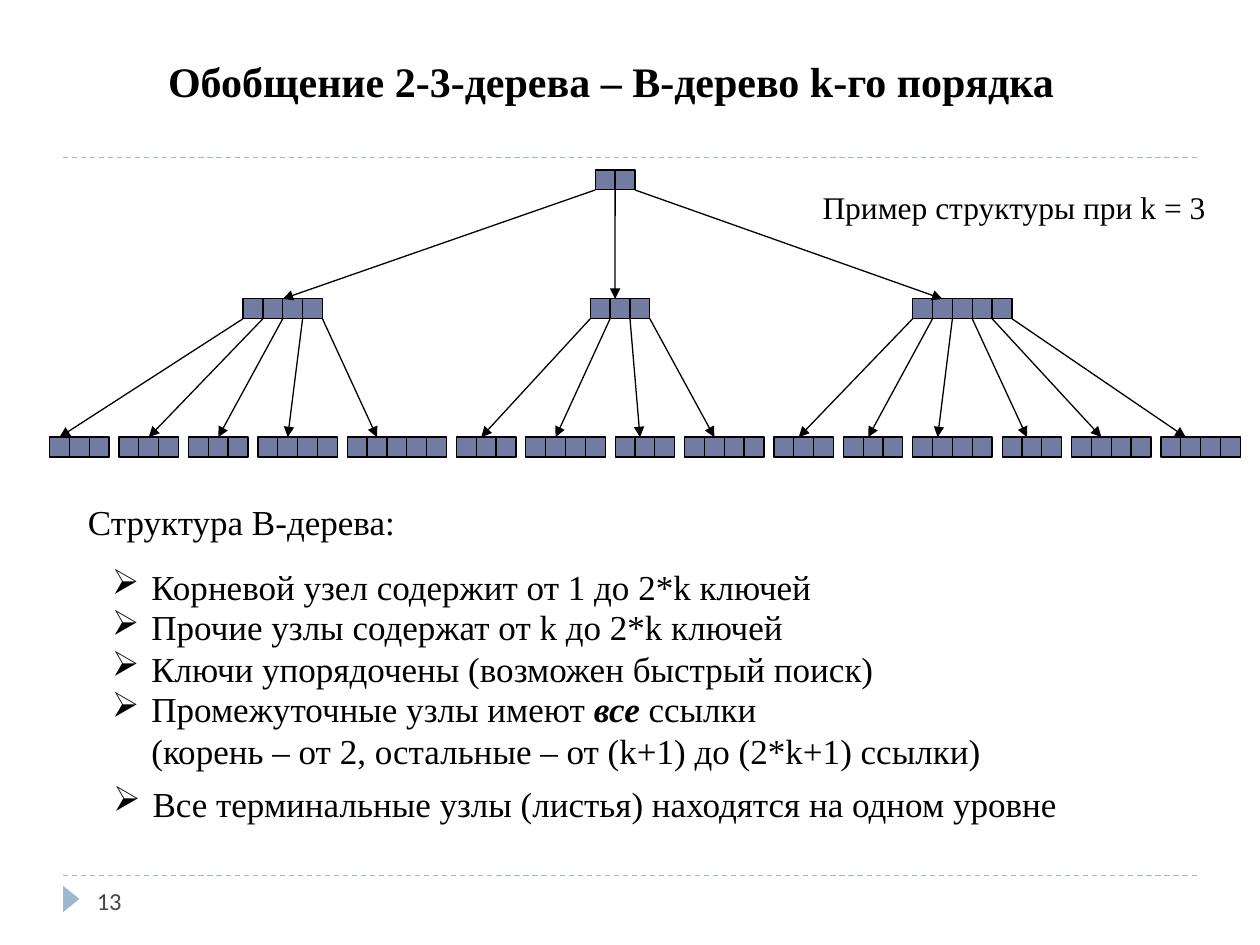
"""Build a slide that explains the structure of a B-tree of order k."""
from dataclasses import dataclass

from lxml import etree
from pptx import Presentation
from pptx.dml.color import RGBColor
from pptx.enum.dml import MSO_LINE
from pptx.enum.shapes import MSO_CONNECTOR, MSO_SHAPE
from pptx.enum.text import MSO_ANCHOR, MSO_AUTO_SIZE, PP_ALIGN
from pptx.oxml.ns import qn
from pptx.util import Pt

STRAIGHT = MSO_CONNECTOR.STRAIGHT
RECTANGLE, TRIANGLE = MSO_SHAPE.RECTANGLE, MSO_SHAPE.ISOSCELES_TRIANGLE
LEFT, CENTER = PP_ALIGN.LEFT, PP_ALIGN.CENTER
TOP, MIDDLE = MSO_ANCHOR.TOP, MSO_ANCHOR.MIDDLE
DASH = MSO_LINE.DASH


@dataclass(frozen=True)
class Theme:
    ink: RGBColor = RGBColor(0x00, 0x00, 0x00)
    key: RGBColor = RGBColor(0x72, 0x7C, 0xA3)
    accent: RGBColor = RGBColor(0x9F, 0xB8, 0xCD)
    muted: RGBColor = RGBColor(0x46, 0x46, 0x53)
    font: str = "Times New Roman"
    number_font: str = "Calibri"
    title: int = 24
    body: int = 20
    caption: int = 18
    number: int = 14
    line: float = 0.75


theme = Theme()
CELL = 11.34
GAP = CELL / 2
ROOT_TOP, BRANCH_TOP, LEAF_TOP = 97.2, 170.8, 249.8
ROOT_LEFT, LEAF_LEFT = 340.16, 28.35

presentation = Presentation()
presentation.slide_width, presentation.slide_height = Pt(720), Pt(540)
slide = presentation.slides.add_slide(presentation.slide_layouts[6])


def add_text(text, left, top, width, height, size=theme.body, font=theme.font,
             color=theme.ink, bold=False, emphasis="", align=LEFT, anchor=TOP,
             bullet=""):
    """Add a text box; the emphasis word is set in bold italic."""
    frame = slide.shapes.add_textbox(Pt(left), Pt(top), Pt(width), Pt(height)).text_frame
    frame.word_wrap = False
    frame.auto_size = MSO_AUTO_SIZE.NONE if anchor == MIDDLE else MSO_AUTO_SIZE.SHAPE_TO_FIT_TEXT
    frame.vertical_anchor = anchor
    paragraph = frame.paragraphs[0]
    paragraph.alignment = align
    if bullet:
        properties = paragraph._p.get_or_add_pPr()
        properties.set("marL", str(Pt(22.5)))
        properties.set("indent", str(Pt(-22.5)))
        etree.SubElement(properties, qn("a:buChar"), char=bullet)
    for line_index, line in enumerate(text.split("\n")):
        if line_index:
            paragraph.add_line_break()
        before, word, after = line.partition(emphasis) if emphasis else (line, "", "")
        for piece, stressed in ((before, False), (word, True), (after, False)):
            if piece:
                run = paragraph.add_run()
                run.text = piece
                run.font.name, run.font.size = font, Pt(size)
                run.font.color.rgb = color
                run.font.bold, run.font.italic = bold or stressed, stressed


def add_line(start_x, start_y, end_x, end_y, color=theme.ink, dash=None, arrow=False):
    """Add a straight line, dashed or with an arrowhead at its end."""
    connector = slide.shapes.add_connector(
        STRAIGHT, Pt(start_x), Pt(start_y), Pt(end_x), Pt(end_y))
    connector.line.color.rgb = color
    connector.line.width = Pt(theme.line)
    connector.line.dash_style = dash
    if arrow:
        etree.SubElement(connector.line._get_or_add_ln(), qn("a:tailEnd"), type="triangle")
    etree.SubElement(connector._element.spPr, qn("a:effectLst"))


for rule_y in (500.4, 90):
    add_line(36, rule_y, 684, rule_y, color=theme.accent, dash=DASH)

marker = slide.shapes.add_shape(TRIANGLE, Pt(33.12), Pt(509.04), Pt(15.12), Pt(9.36))
marker.rotation = 90
marker.shadow.inherit = False
marker.fill.solid()
marker.fill.fore_color.rgb = theme.accent
marker.line.fill.background()

add_text("13", 48.24, 500.4, 156.24, 28.8, size=theme.number,
         font=theme.number_font, color=theme.muted, anchor=MIDDLE)
add_text("Обобщение 2-3-дерева – В-дерево k-го порядка", 86.4, 28.08, 525.6, 36,
         size=theme.title, bold=True, align=CENTER)
add_text("Пример структуры при k = 3", 462.96, 103.68, 235.44, 28.8, size=theme.caption)
add_text("Структура В-дерева:", 43.2, 282.24, 191.52, 31.68)

bullets = (
    ("Корневой узел содержит от 1 до 2*k ключей", 56.9, 319.7, 417.6, 31.7),
    ("Прочие узлы содержат от k до 2*k ключей", 56.9, 342.7, 401, 31.7),
    ("Ключи упорядочены (возможен быстрый поиск)", 56.9, 366.5, 453.6, 31.7),
    ("Промежуточные узлы имеют все ссылки \n"
     "(корень – от 2, остальные – от (k+1) до (2*k+1) ссылки)", 56.9, 389.5, 514.8, 55.4),
    ("Все терминальные узлы (листья) находятся на одном уровне", 57.6, 443.5, 558.7, 31.7),
)
for text, left, top, width, height in bullets:
    emphasis = "все" if "имеют все" in text else ""
    add_text(text, left, top, width, height, emphasis=emphasis, bullet="➢")

# Each leaf: number of keys, then the cell offset where its arrow lands.
leaves = ((3, 0.5), (3, 1.5), (3, 1.5), (4, 1.5), (5, 1.5),
          (3, 1.25), (4, 1.5), (3, 1.25), (4, 1.5),
          (3, 1.25), (3, 1.25), (4, 1.25), (3, 1.25), (4, 1.5), (4, 1.25))
branches = ((138.9, 4, 2), (337.32, 3, 1.25), (521.57, 5, 1.5))

nodes = [(ROOT_LEFT, ROOT_TOP, 2)]
arrows = []
leaf_left = LEAF_LEFT
remaining_leaves = iter(leaves)
for branch_index, (branch_left, branch_keys, branch_offset) in enumerate(branches):
    nodes.append((branch_left, BRANCH_TOP, branch_keys))
    arrows.append((ROOT_LEFT + branch_index * CELL, ROOT_TOP + CELL,
                   branch_left + branch_offset * CELL, BRANCH_TOP))
    for link in range(branch_keys + 1):
        leaf_keys, leaf_offset = next(remaining_leaves)
        nodes.append((leaf_left, LEAF_TOP, leaf_keys))
        arrows.append((branch_left + link * CELL, BRANCH_TOP + CELL,
                       leaf_left + leaf_offset * CELL, LEAF_TOP))
        leaf_left += leaf_keys * CELL + GAP

for node_left, node_top, keys in nodes:
    for key_index in range(keys):
        cell = slide.shapes.add_shape(
            RECTANGLE, Pt(node_left + key_index * CELL), Pt(node_top), Pt(CELL), Pt(CELL))
        cell.shadow.inherit = False
        cell.fill.solid()
        cell.fill.fore_color.rgb = theme.key
        cell.line.color.rgb = theme.ink
        cell.line.width = Pt(theme.line)

for arrow in arrows:
    add_line(*arrow, arrow=True)

presentation.save("out.pptx")
